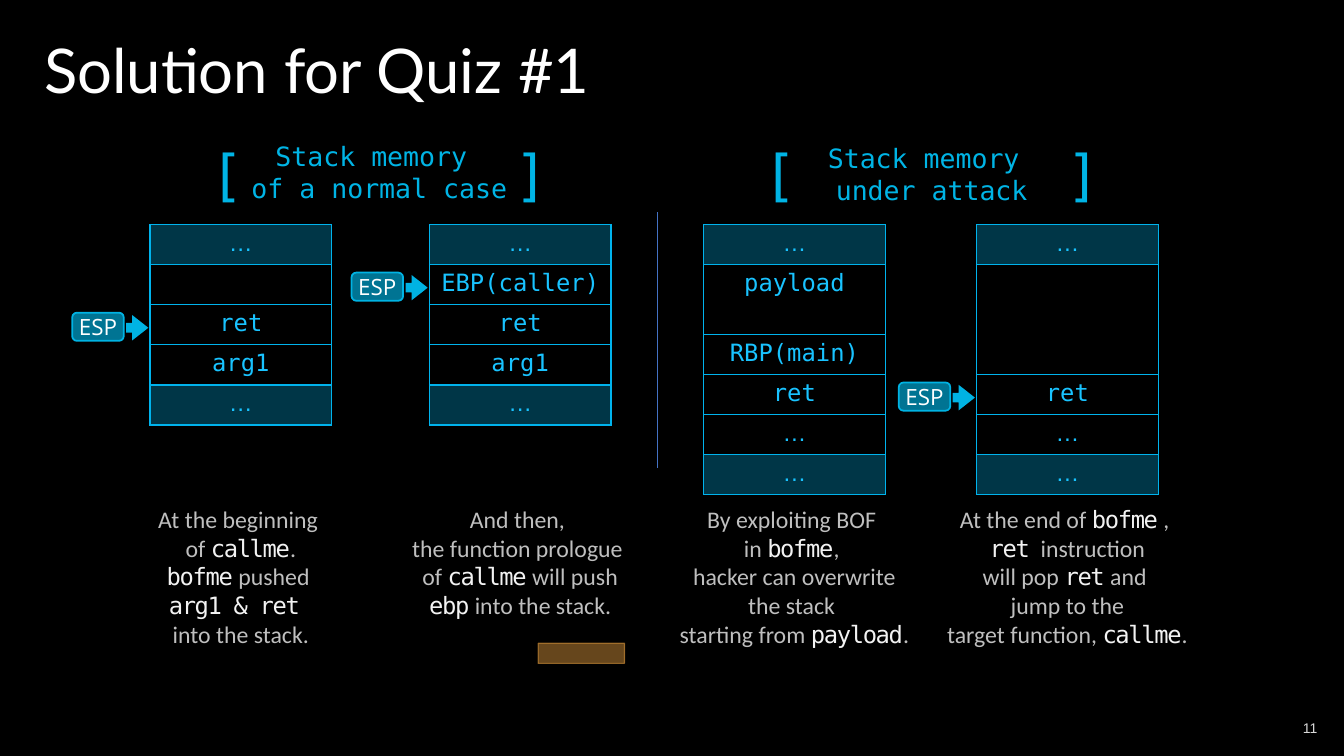
from lxml import etree
from pptx import Presentation
from pptx import util as u
from pptx.dml.color import RGBColor
from pptx.enum import shapes, text
from pptx.oxml.ns import qn

BLACK = RGBColor(0x00, 0x00, 0x00)
WHITE = RGBColor(0xFF, 0xFF, 0xFF)
PALE = RGBColor(0xF2, 0xF2, 0xF2)
GREY = RGBColor(0xBF, 0xBF, 0xBF)
NUMBER_GREY = RGBColor(0xD9, 0xD9, 0xD9)
HEADING = RGBColor(0x00, 0xB4, 0xE5)
CELL_TEXT = RGBColor(0x19, 0xC3, 0xFF)
CELL_LINE = RGBColor(0x00, 0xB3, 0xED)
POINTER = RGBColor(0x00, 0xB3, 0xE3)
DIVIDER = RGBColor(0x44, 0x72, 0xC4)
ORANGE = RGBColor(0xFF, 0xB0, 0x46)
MONO = "DejaVu Sans Mono"
CENTER, LEFT, RIGHT = text.PP_ALIGN.CENTER, text.PP_ALIGN.LEFT, text.PP_ALIGN.RIGHT
MIDDLE = text.MSO_ANCHOR.MIDDLE

# Content: backticks mark code in the captions
TITLE = "Solution for Quiz #1"
PAGE_NUMBER = "11"
HEADINGS = [  # centre, top, words
    (9.56, 3.4, "Stack memory \nof a normal case"),
    (23.48, 3.45, "Stack memory \nunder attack"),
]
STACKS = [
    dict(center=6.07, cells=["…", "", "ret", "arg1", "…"], esp_row=2,
         caption=["At the beginning \nof `callme`.",
                  "`bofme` pushed \n`arg1 & ret \n`into the stack."]),
    dict(center=13.11, cells=["…", "EBP(caller)", "ret", "arg1", "…"], esp_row=1,
         caption=["And then, \nthe function prologue \nof `callme` will push\n"
                  "`ebp` into the stack."]),
    dict(center=20.02, cells=["…", "payload", "RBP(main)", "ret", "…", "…"], tall=1.76,
         caption=["By exploiting BOF \nin `bofme`, \nhacker can overwrite",
                  "the stack \nstarting from `payload`."]),
    dict(center=26.9, cells=["…", "", "ret", "…", "…"], tall=2.77, esp_row=2,
         caption=["At the end of `bofme` , \n`ret`  instruction\nwill pop `ret` and \n"
                  "jump to the\ntarget function, `callme`."]),
]

# Layout in centimetres
STACK_TOP, STACK_WIDTH, ROW = 5.66, 4.58, 1.01
CAPTION_TOP, CAPTION_WIDTH = 12.6, 7.2
BRACKET_WIDTH, BRACKET_GAP = 8.5, 7.65

deck = Presentation()
deck.slide_width, deck.slide_height = u.Cm(33.87), u.Cm(19.05)
page = deck.slides.add_slide(deck.slide_layouts[6])
page.background.fill.solid()
page.background.fill.fore_color.rgb = BLACK


def cm(*lengths):
    return [u.Cm(length) for length in lengths]


def add_spans(para, words, size, color, font=MONO, code_color=PALE):
    """Fill a paragraph, giving the parts between backticks the code format."""
    for index, part in enumerate(words.split("`")):
        is_code = index % 2 == 1
        for number, line in enumerate(part.split("\n")):
            if number:
                para.add_line_break()
            if not line:
                continue
            span = para.add_run()
            span.text = line
            span.font.size = u.Pt(size)
            span.font.name = MONO if is_code else font
            span.font.color.rgb = code_color if is_code else color
            if is_code:
                span._r.get_or_add_rPr().set("spc", "-100")
    # Line breaks keep the size of their text
    for line_break in para._p.findall(qn("a:br")):
        etree.SubElement(line_break, qn("a:rPr"), sz=str(size * 100))


def write(frame, words, align=CENTER, anchor=text.MSO_ANCHOR.TOP, wrap=True, **style):
    """Write one or more paragraphs into a text frame."""
    frame.word_wrap = wrap
    frame.vertical_anchor = anchor
    paragraphs = [words] if isinstance(words, str) else words
    for index, sentence in enumerate(paragraphs):
        para = frame.paragraphs[0] if index == 0 else frame.add_paragraph()
        para.alignment = align
        add_spans(para, sentence, **style)
    return frame


def add_text(words, left, top, width, height, **style):
    box = page.shapes.add_textbox(*cm(left, top, width, height))
    return write(box.text_frame, words, **style)


def paint(fill, color, opacity=100):
    fill.solid()
    fill.fore_color.rgb = color
    if opacity < 100:
        tone = fill._xPr.find(qn("a:solidFill"))[0]
        etree.SubElement(tone, qn("a:alpha"), val=str(opacity * 1000))


def add_shape(owner, kind, left, top, width, height, color, opacity=100,
              line_width=0, line_opacity=100):
    shape = owner.add_shape(kind, *cm(left, top, width, height))
    shape.shadow.inherit = False
    paint(shape.fill, color, opacity)
    if line_width:
        shape.line.width = u.Pt(line_width)
        paint(shape.line.fill, color, line_opacity)
    else:
        shape.line.fill.background()
    return shape


def add_borders(cell):
    properties = cell._tc.get_or_add_tcPr()
    for index, side in enumerate(("lnL", "lnR", "lnT", "lnB")):
        edge = etree.Element(qn(f"a:{side}"), w=str(u.Pt(0.96)))
        solid = etree.SubElement(edge, qn("a:solidFill"))
        etree.SubElement(solid, qn("a:srgbClr"), val=str(CELL_LINE))
        properties.insert(index, edge)


def add_stack(cells, left, heights):
    frame = page.shapes.add_table(len(cells), 1, *cm(left, STACK_TOP, STACK_WIDTH, sum(heights)))
    table = frame.table
    table.first_row = table.horz_banding = False
    table.columns[0].width = u.Cm(STACK_WIDTH)
    for index, words in enumerate(cells):
        table.rows[index].height = u.Cm(heights[index])
        cell = table.cell(index, 0)
        cell.margin_left = cell.margin_right = u.Cm(0.23)
        cell.margin_top = cell.margin_bottom = u.Cm(0.12)
        if index in (0, len(cells) - 1):
            paint(cell.fill, CELL_LINE, 30)
        else:
            cell.fill.background()
        add_borders(cell)
        para = cell.text_frame.paragraphs[0]
        para.alignment = CENTER
        add_spans(para, words, 17, CELL_TEXT, "Arial" if words == "…" else MONO)
        if not words:
            etree.SubElement(para._p, qn("a:endParaRPr"), sz="1700")


def add_esp(stack_left, row_top):
    group = page.shapes.add_group_shape().shapes
    arrow = add_shape(group, shapes.MSO_SHAPE.RIGHT_ARROW,
                      stack_left - 0.6, row_top + 0.26, 0.56, 0.64, POINTER)
    arrow.adjustments[0], arrow.adjustments[1] = 0.375, 0.728
    badge = add_shape(group, shapes.MSO_SHAPE.ROUNDED_RECTANGLE,
                      stack_left - 1.96, row_top + 0.2, 1.3, 0.71, POINTER, 65, 1.25)
    write(badge.text_frame, "ESP", anchor=MIDDLE, wrap=False,
          size=16, color=WHITE, font="Open Sans")


# Title and page number
add_text(TITLE, 0.86, 0.69, 16.2, 2.1, align=LEFT, wrap=False, size=44, color=WHITE, font="Lato")
add_text(PAGE_NUMBER, 25.83, 17.83, 7.62, 1.02, align=RIGHT, anchor=MIDDLE,
         size=10, color=NUMBER_GREY, font="Arial")

# Headings between brackets
for center, top, words in HEADINGS:
    brackets = add_text("[\t]", center - BRACKET_WIDTH / 2, 3.38, BRACKET_WIDTH, 1.96,
                        align=LEFT, wrap=False, size=40, color=HEADING)
    brackets.margin_left = brackets.margin_right = 0
    tabs = etree.SubElement(brackets.paragraphs[0]._p.get_or_add_pPr(), qn("a:tabLst"))
    etree.SubElement(tabs, qn("a:tab"), pos=str(u.Cm(BRACKET_GAP)), algn="l")
    add_text(words, center - 4, top, 8, 1.85, size=19, color=HEADING)

# Divider between the two cases
divider = page.shapes.add_connector(shapes.MSO_CONNECTOR.STRAIGHT, *cm(16.58, 11.79, 16.58, 5.34))
divider.line.color.rgb = DIVIDER
divider.line.width = u.Pt(0.75)
etree.SubElement(divider._element.spPr, qn("a:effectLst"))

# Stacks with captions and stack pointers
for stack in STACKS:
    left = stack["center"] - STACK_WIDTH / 2
    heights = [ROW] * len(stack["cells"])
    heights[1] = stack.get("tall", ROW)
    add_stack(stack["cells"], left, heights)
    add_text(stack["caption"], stack["center"] - CAPTION_WIDTH / 2, CAPTION_TOP,
             CAPTION_WIDTH, 3.86, wrap=False, size=17, color=GREY, font="Calibri")
    if "esp_row" in stack:
        add_esp(left, STACK_TOP + sum(heights[:stack["esp_row"]]))

# Orange marker
add_shape(page.shapes, shapes.MSO_SHAPE.RECTANGLE, 13.56, 16.21, 2.18, 0.51, ORANGE, 40, 0.75, 50)

deck.save("out.pptx")
